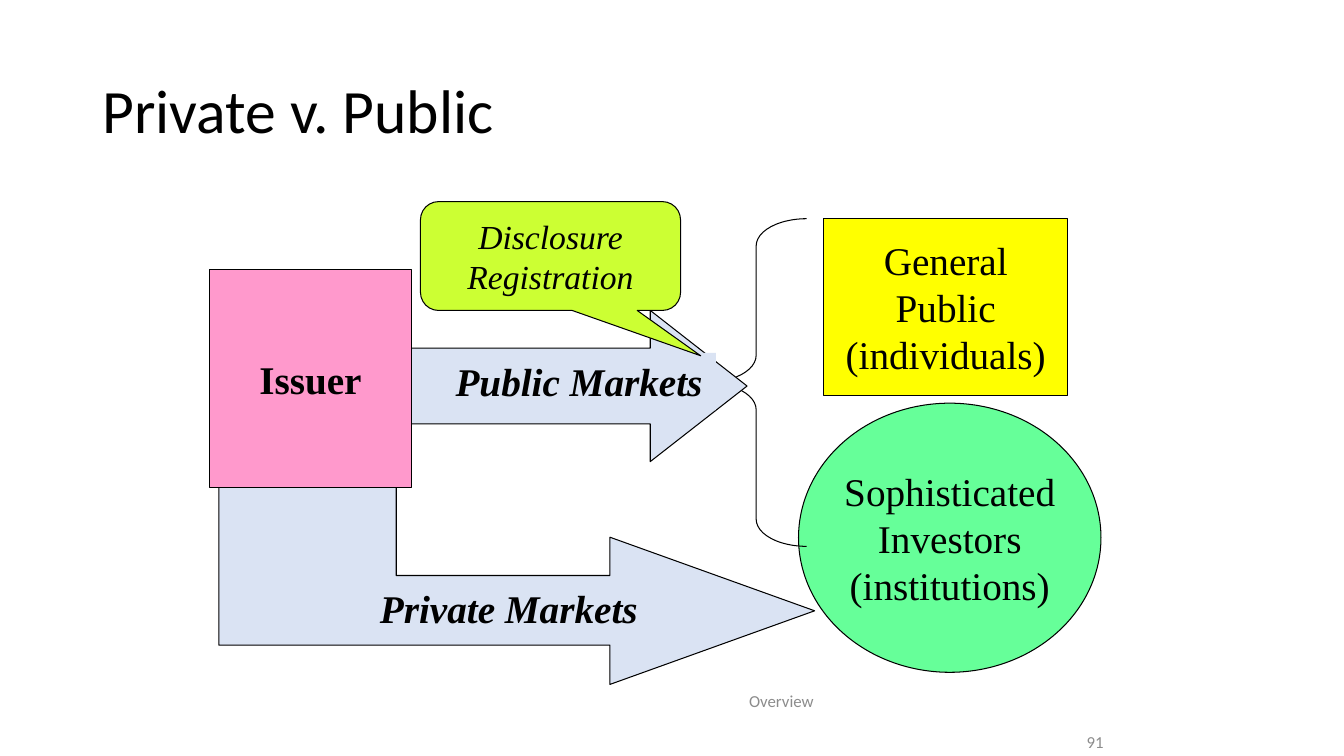
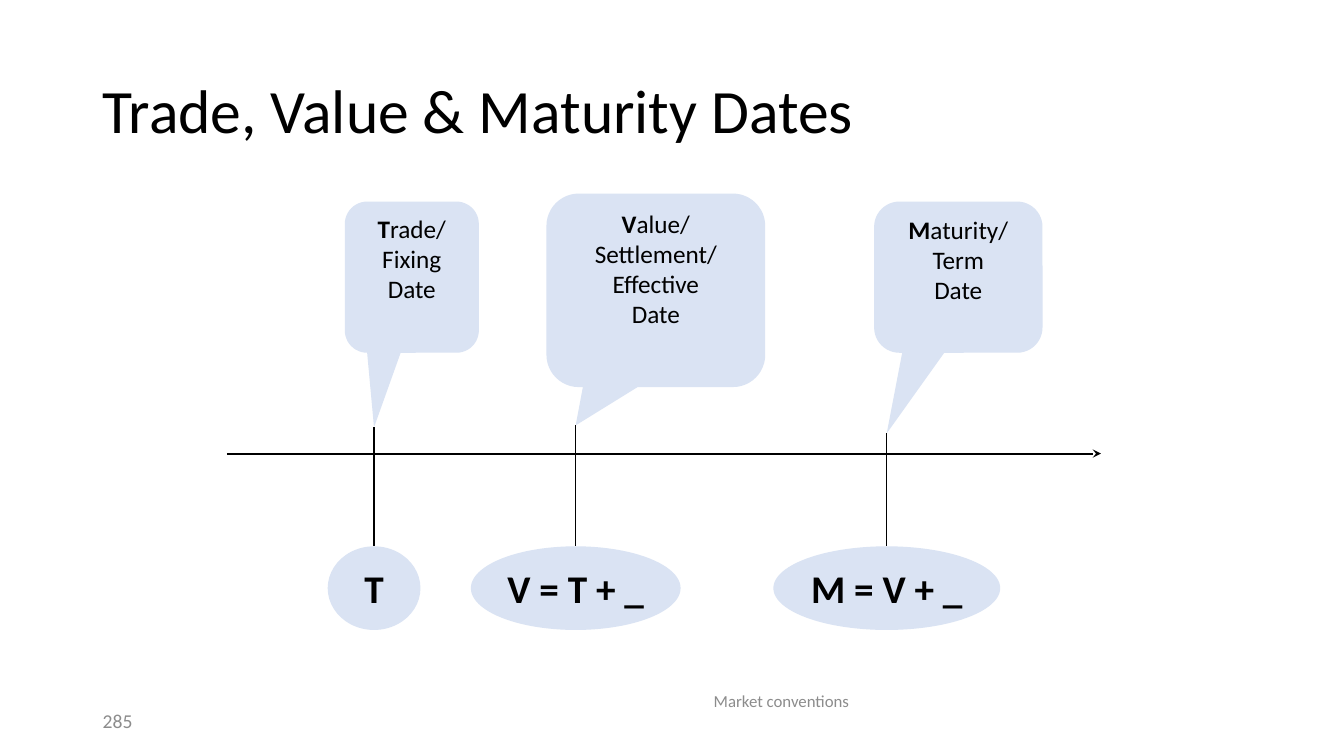
from dataclasses import dataclass
from pptx import Presentation
from pptx.dml.color import RGBColor
from pptx.enum.shapes import MSO_CONNECTOR, MSO_SHAPE
from pptx.enum.text import MSO_ANCHOR, PP_ALIGN
from pptx.oxml.ns import qn
from pptx.util import Inches, Pt
from lxml.etree import SubElement


# Colours, fonts and type sizes
@dataclass(frozen=True)
class Theme:
    ink: str = "000000"
    grey: str = "8C8C8C"
    pale: str = "DAE3F3"
    yellow: str = "FFFF00"
    green: str = "66FF99"
    pink: str = "FF99CC"
    lime: str = "CCFF33"
    sans: str = "Calibri"
    serif: str = "Times New Roman"
    title: int = 44
    label: int = 28
    note: int = 24
    body: int = 18
    page: int = 14
    foot: int = 12
    edge: float = 0.75


T = Theme()


def color(code):
    return RGBColor.from_string(code)


def write(shape, lines, size, font=T.sans, ink=T.ink, bold=False, italic=False,
          align=PP_ALIGN.CENTER, anchor=MSO_ANCHOR.MIDDLE, wrap=True, lead=None):
    """Each line is a list of (text, bold) runs, or a plain string."""
    frame = shape.text_frame
    frame.word_wrap = wrap
    frame.vertical_anchor = anchor
    for i, line in enumerate(lines):
        para = frame.add_paragraph() if i else frame.paragraphs[0]
        para.alignment = align
        if lead:
            para.line_spacing = lead
        for text, heavy in [(line, bold)] if isinstance(line, str) else line:
            run = para.add_run()
            run.text = text
            face = run.font
            face.name, face.size = font, Pt(size)
            face.bold, face.italic = heavy, italic
            face.color.rgb = color(ink)


def paint(shape, fill, edge):
    shape.shadow.inherit = False
    if fill:
        shape.fill.solid()
        shape.fill.fore_color.rgb = color(fill)
    else:
        shape.fill.background()
    if edge:
        shape.line.color.rgb = color(T.ink)
        shape.line.width = Pt(T.edge)
    else:
        shape.line.fill.background()
    return shape


# A region of a slide; lengths inside it count from its corner
@dataclass
class Area:
    slide: object
    left: float = 0
    top: float = 0

    def place(self, x, y):
        return Inches(self.left + x), Inches(self.top + y)

    def text(self, box, lines, size, **style):
        x, y, w, h = box
        shape = self.slide.shapes.add_textbox(*self.place(x, y), Inches(w), Inches(h))
        write(shape, lines, size, **style)

    def shape(self, kind, box, fill=None, edge=True, adjust=()):
        x, y, w, h = box
        shape = self.slide.shapes.add_shape(
            kind, *self.place(x, y), Inches(w), Inches(h))
        for i, value in enumerate(adjust):
            shape.adjustments[i] = value
        return paint(shape, fill, edge)

    def callout(self, box, tip, fill, edge=True):
        x, y, w, h = box
        point = (tip[0] - x - w / 2) / w, (tip[1] - y - h / 2) / h
        return self.shape(MSO_SHAPE.ROUNDED_RECTANGULAR_CALLOUT, box, fill, edge,
                          (*point, 0.167))

    def outline(self, points, fill):
        first, *rest = [self.place(*p) for p in points]
        path = self.slide.shapes.build_freeform(*first, scale=1.0)
        path.add_line_segments(rest, close=True)
        return paint(path.convert_to_shape(), fill, True)

    def line(self, start, end, width, head=None):
        line = self.slide.shapes.add_connector(
            MSO_CONNECTOR.STRAIGHT, *self.place(*start), *self.place(*end))
        line.line.color.rgb = color(T.ink)
        line.line.width = Pt(width)
        if head:
            SubElement(line.line._get_or_add_ln(), qn("a:tailEnd"), type=head)
        SubElement(line._element.spPr, qn("a:effectLst"))
        return line


# Title, footer and page number
def base(deck, title, foot, page, spot, size):
    slide = deck.slides.add_slide(deck.slide_layouts[6])
    area = Area(slide)
    area.text((0.92, 0.4, 11.5, 1.45), [title], T.title,
              align=PP_ALIGN.LEFT, lead=0.9)
    area.text((3.84, 6.72, 7.82, 0.47), [foot], T.foot, ink=T.grey)
    area.text(spot, [page], size, ink=T.grey, align=PP_ALIGN.LEFT)
    return slide


def markets(slide, left, top):
    area = Area(slide, left, top)
    strong = dict(font=T.serif, bold=True, italic=True,
                  align=PP_ALIGN.LEFT, anchor=MSO_ANCHOR.TOP)
    plain = dict(font=T.serif, wrap=False)

    # General public
    public = area.shape(MSO_SHAPE.RECTANGLE, (6.09, 0.17, 2.42, 1.75), T.yellow)
    write(public, ["General", "Public", "(individuals)"], T.label, **plain)

    # Private route: bent arrow under the issuer
    area.outline([(6, 4.06), (3.97, 3.33), (3.97, 3.71), (1.85, 3.71), (1.85, 2.08),
                  (0.09, 2.08), (0.09, 4.4), (3.97, 4.4), (3.97, 4.79)], T.pale)
    area.text((1.59, 3.75, 2.92, 0.57), ["Private Markets"], T.label, **strong)

    # Institutions and brace
    funds = area.shape(MSO_SHAPE.OVAL, (5.84, 2, 3, 2.67), T.green)
    write(funds, ["Sophisticated", "Investors", "(institutions)"], T.label, **plain)
    area.shape(MSO_SHAPE.LEFT_BRACE, (4.92, 0.17, 1, 3.25), adjust=(0.27, 0.5))

    # Public route
    area.shape(MSO_SHAPE.NOTCHED_RIGHT_ARROW, (1.5, 1.08, 3.83, 1.5), T.pale,
               adjust=(0.5, 0.64))
    tag = area.shape(MSO_SHAPE.RECTANGLE, (2.34, 1.5, 2.68, 0.57), T.pale, False)
    write(tag, ["Public Markets"], T.label, wrap=False, **strong)

    # Issuer and its duties
    issuer = area.shape(MSO_SHAPE.RECTANGLE, (0, 0.67, 2, 2.17), T.pink)
    write(issuer, ["Issuer"], T.label, bold=True, **plain)
    duty = area.callout((2.09, 0, 2.58, 1.08), (4.87, 1.53), T.lime)
    write(duty, ["Disclosure", "Registration"], T.note, font=T.serif, italic=True)


def dates(slide, left, top):
    area = Area(slide, left, top)
    area.line((0, 2.58), (8.67, 2.58), 1.5, "stealth")

    # Callout box, its lines, tip height, oval left and width, oval text
    marks = [
        ((1.17, 0.08, 1.33, 1.5), ["Trade/", "Fixing", "Date"],
         2.32, 1, 0.92, "T"),
        ((3.17, 0, 2.17, 1.92), ["Value/", "Settlement/", "Effective", "Date"],
         2.3, 2.42, 2.08, "V = T + _"),
        ((6.42, 0.08, 1.67, 1.5), ["Maturity/", "Term", "Date"],
         2.38, 5.42, 2.25, "M = V + _"),
    ]
    for box, (name, *rest), tip, x, wide, sign in marks:
        mid = x + wide / 2
        note = area.callout(box, (mid, tip), T.pale, False)
        write(note, [[(name[0], True), (name[1:], False)], *rest], T.body,
              anchor=MSO_ANCHOR.TOP)
        oval = area.shape(MSO_SHAPE.OVAL, (x, 3.5, wide, 0.83), T.pale, False)
        write(oval, [sign], T.label, bold=True, wrap=False)
        stem = area.line((mid, tip), (mid, 3.5), 1)
        stem.end_connect(oval, 0)


def main():
    deck = Presentation()
    deck.slide_width, deck.slide_height = Inches(13.33), Inches(7.5)
    markets(base(deck, "Private v. Public", "Overview",
                 "91", (10.68, 7.2, 1.01, 0.32), T.foot), 2.08, 2)
    dates(base(deck, "Trade, Value & Maturity Dates", "Market conventions",
               "285", (0.92, 6.95, 3, 0.4), T.page), 2.25, 1.92)
    deck.save("out.pptx")


if __name__ == "__main__":
    main()
